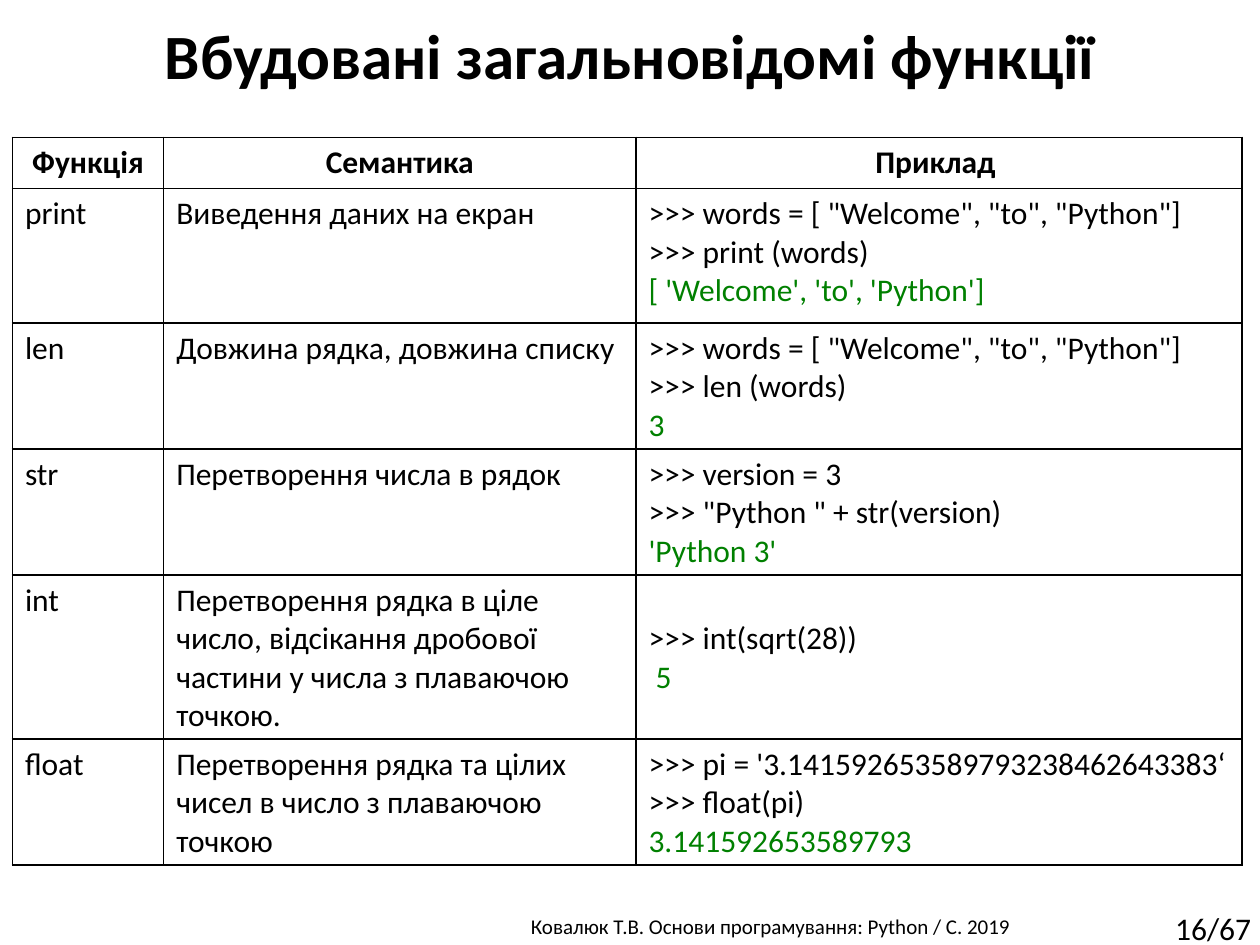
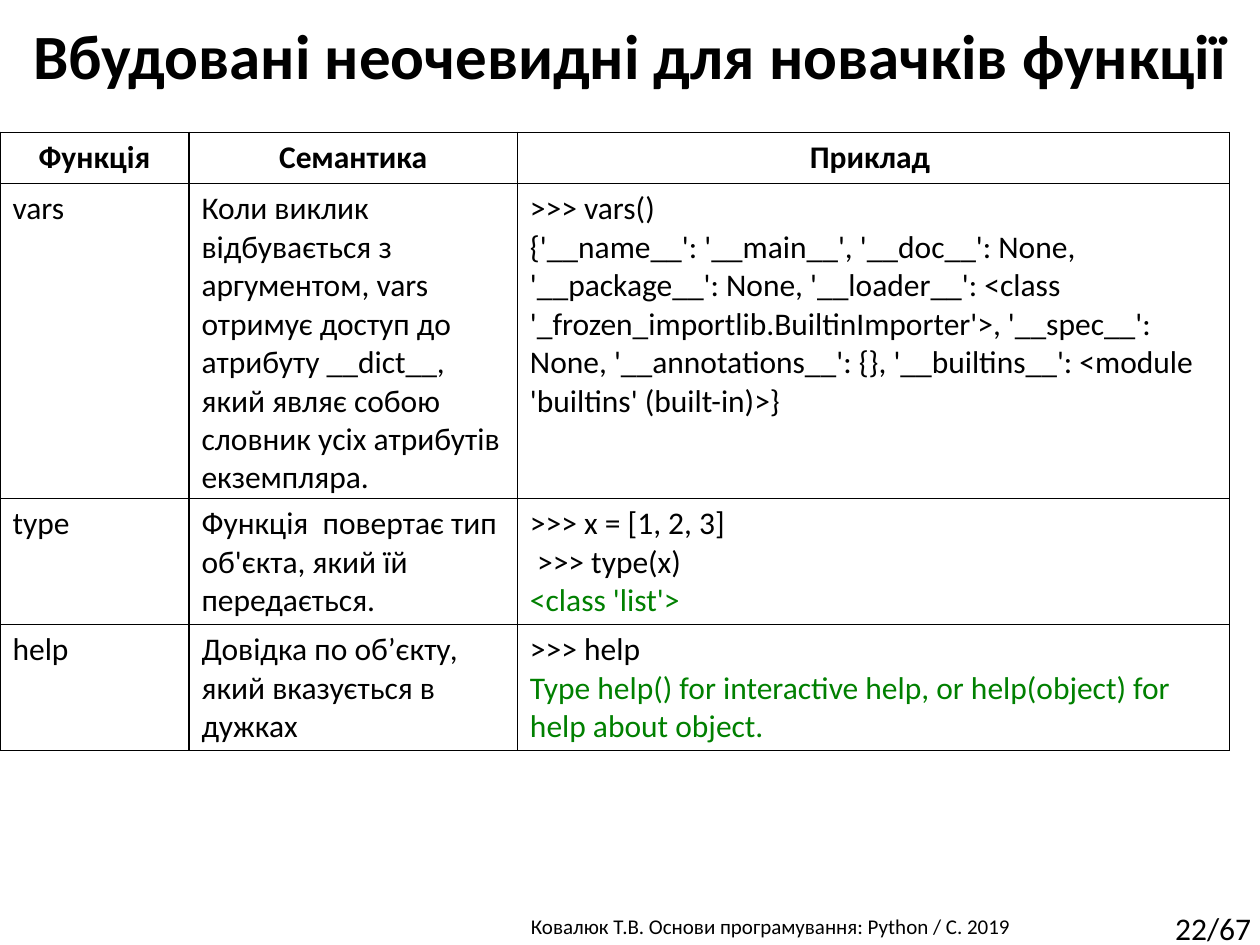
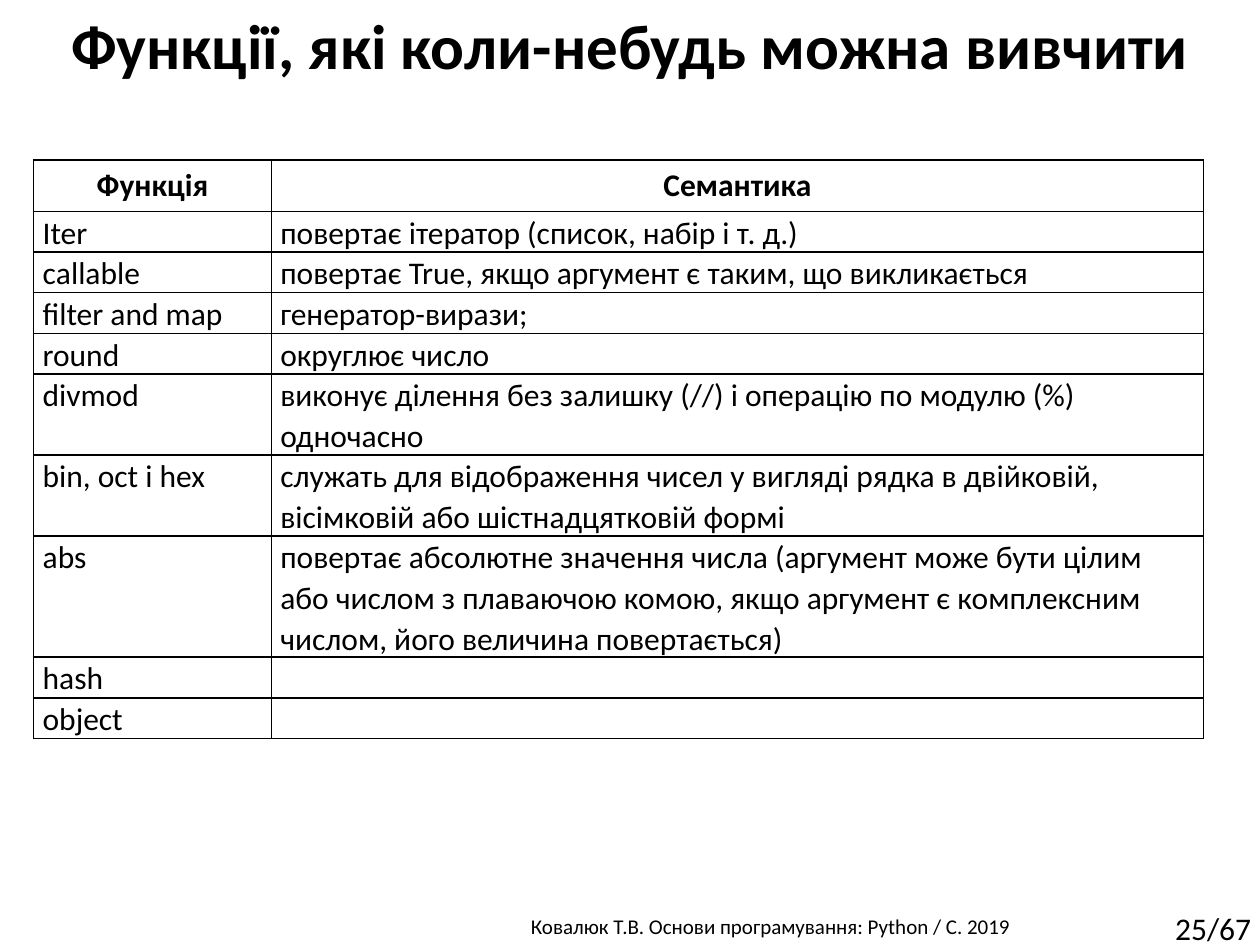
from lxml import etree
from pptx import Presentation
from pptx.dml.color import RGBColor
from pptx.enum.text import MSO_ANCHOR, MSO_AUTO_SIZE, PP_ALIGN
from pptx.oxml.ns import qn
from pptx.util import Cm, Pt

LEFT, MID = PP_ALIGN.LEFT, PP_ALIGN.CENTER
TOP = MSO_ANCHOR.TOP
GROW = MSO_AUTO_SIZE.SHAPE_TO_FIT_TEXT
FONT = "Calibri"
HEX = {"ink": "000000", "out": "008000", "paper": "FFFFFF"}
FOOT = "Ковалюк Т.В. Основи програмування: Python / C. 2019 "


def put(frame, text, size=18, bold=False, align=LEFT, lead=None, out=""):
    """Write the lines of text, then the green lines of program output."""
    lines = [(line, "ink") for line in text.split("\n")]
    if out:
        lines += [(out, "out")]
    for i, (line, hue) in enumerate(lines):
        para = frame.paragraphs[0] if i == 0 else frame.add_paragraph()
        para.alignment = align
        para.line_spacing = lead
        run = para.add_run()
        run.text = line
        font = run.font
        font.name, font.size, font.bold = FONT, Pt(size), bold
        font.color.rgb = RGBColor.from_string(HEX[hue])


def rule(cell):
    """Draw the four borders of a cell and fill it."""
    props = cell._tc.get_or_add_tcPr()
    for side in ("a:lnL", "a:lnR", "a:lnT", "a:lnB"):
        line = etree.SubElement(props, qn(side), w=str(Pt(1)))
        fill = etree.SubElement(line, qn("a:solidFill"))
        etree.SubElement(fill, qn("a:srgbClr"), val=HEX["ink"])
    cell.fill.solid()
    cell.fill.fore_color.rgb = RGBColor.from_string(HEX["paper"])


# Content: each row is a height and its cells; an example is (code, output)
HEAD = (1.03, "Функція", "Семантика", "Приклад ")
WORDS = '>>> words = [ "Welcome", "to", "Python"]\n'
SLIDES = [
    {
        "title": "Вбудовані загальновідомі функції", "top": 0.2, "page": 16,
        "at": (0.25, 2.77), "cols": (3.05, 9.52, 12.22), "tight": False,
        "rows": [
            HEAD,
            (2.71, "print", "Виведення даних на екран",
             (WORDS + ">>> print (words)", "[ 'Welcome', 'to', 'Python']")),
            (2.54, "len", "Довжина рядка, довжина списку",
             (WORDS + ">>> len (words)", "3")),
            (2.54, "str", "Перетворення числа в рядок",
             ('>>> version = 3\n>>> "Python " + str(version)', "'Python 3'")),
            (3.3, "int", "Перетворення рядка в ціле число, відсікання дробової "
             "частини у числа з плаваючою точкою.",
             (">>> int(sqrt(28))", " 5")),
            (2.54, "float", "Перетворення рядка та цілих чисел в число з "
             "плаваючою точкою",
             (">>> pi = '3.141592653589793238462643383‘\n>>> float(pi)",
              "3.141592653589793")),
        ],
    },
    {
        "title": "Вбудовані неочевидні для новачків функції", "top": 0.2,
        "page": 22, "at": (0, 2.67), "cols": (3.81, 6.62, 14.36),
        "tight": False,
        "rows": [
            HEAD,
            (6.35, "vars", "Коли виклик відбувається з аргументом, vars отримує "
             "доступ до атрибуту __dict__, який являє собою словник усіх "
             "атрибутів екземпляра.",
             (">>> vars()\n{'__name__': '__main__', '__doc__': None, "
              "'__package__': None, '__loader__': <class "
              "'_frozen_importlib.BuiltinImporter'>, '__spec__': None, "
              "'__annotations__': {}, '__builtins__': <module 'builtins' "
              "(built-in)>}", "")),
            (2.54, "type", "Функція  повертає тип об'єкта, який їй передається.",
             (">>> x = [1, 2, 3]\n >>> type(x)", "<class 'list'>")),
            (2.54, "help", "Довідка по об’єкту, який вказується в дужках",
             (">>> help", "Type help() for interactive help, or help(object) "
              "for help about object.")),
        ],
    },
    {
        "title": "Функції, які коли-небудь можна вивчити", "top": 0,
        "page": 25, "at": (0.68, 3.23), "cols": (4.79, 18.79), "tight": True,
        "rows": [
            HEAD[:3],
            (0.82, "Iter", "повертає ітератор (список, набір і т. д.)"),
            (0.82, "сallable",
             "повертає True, якщо аргумент є таким, що викликається"),
            (0.82, "filter and map", "генератор-вирази;"),
            (0.82, "round", "округлює число"),
            (1.63, "divmod", "виконує ділення без залишку (//) і операцію по "
             "модулю (%) одночасно"),
            (1.63, "bin, oct і hex", "служать для відображення чисел у вигляді "
             "рядка в двійковій, вісімковій або шістнадцятковій формі"),
            (2.44, "abs", "повертає абсолютне значення числа (аргумент може "
             "бути цілим або числом з плаваючою комою, якщо аргумент є "
             "комплексним числом, його величина повертається)"),
            (0.82, "hash", ""),
            (0.82, "object", ""),
        ],
    },
]

deck = Presentation()
deck.slide_width, deck.slide_height = Cm(25.4), Cm(19.05)

for data in SLIDES:
    slide = deck.slides.add_slide(deck.slide_layouts[5])

    # Title
    title = slide.shapes.title
    title.left, title.top = Cm(0), Cm(data["top"])
    title.width, title.height = Cm(25.4), Cm(1.8)
    title.text_frame.vertical_anchor = TOP
    title.text_frame.auto_size = GROW
    put(title.text_frame, data["title"], size=36, bold=True, align=MID)

    # Footer and page number
    foot = slide.shapes.add_textbox(Cm(8.36), Cm(18.29), Cm(14.45), Cm(0.76))
    foot.text_frame.word_wrap = True
    put(foot.text_frame, FOOT, size=12, align=MID)
    page = slide.shapes.add_textbox(Cm(23.44), Cm(18.21), Cm(2.16), Cm(1.02))
    page.text_frame.word_wrap = False
    put(page.text_frame, f"{data['page']}/67")

    # Table of functions
    rows, cols = data["rows"], data["cols"]
    left, top = data["at"]
    grid = slide.shapes.add_table(
        len(rows), len(cols), Cm(left), Cm(top),
        Cm(sum(cols)), Cm(sum(row[0] for row in rows))).table
    grid.first_row = grid.horz_banding = False
    for col, width in zip(grid.columns, cols):
        col.width = Cm(width)
    for r, (high, *texts) in enumerate(rows):
        grid.rows[r].height = Cm(high)
        for c, text in enumerate(texts):
            cell = grid.cell(r, c)
            rule(cell)
            code, out = text if isinstance(text, tuple) else (text, "")
            lead = None
            if data["tight"] and r:
                cell.margin_left = cell.margin_right = Cm(0.18)
                cell.margin_top = cell.margin_bottom = Cm(0)
                lead = 1.07
            if "sqrt" in code:
                cell.margin_top = Cm(0.9)  # one line lower
            if code:
                put(cell.text_frame, code, bold=r == 0,
                    align=LEFT if r else MID, lead=lead, out=out)

deck.save("out.pptx")
